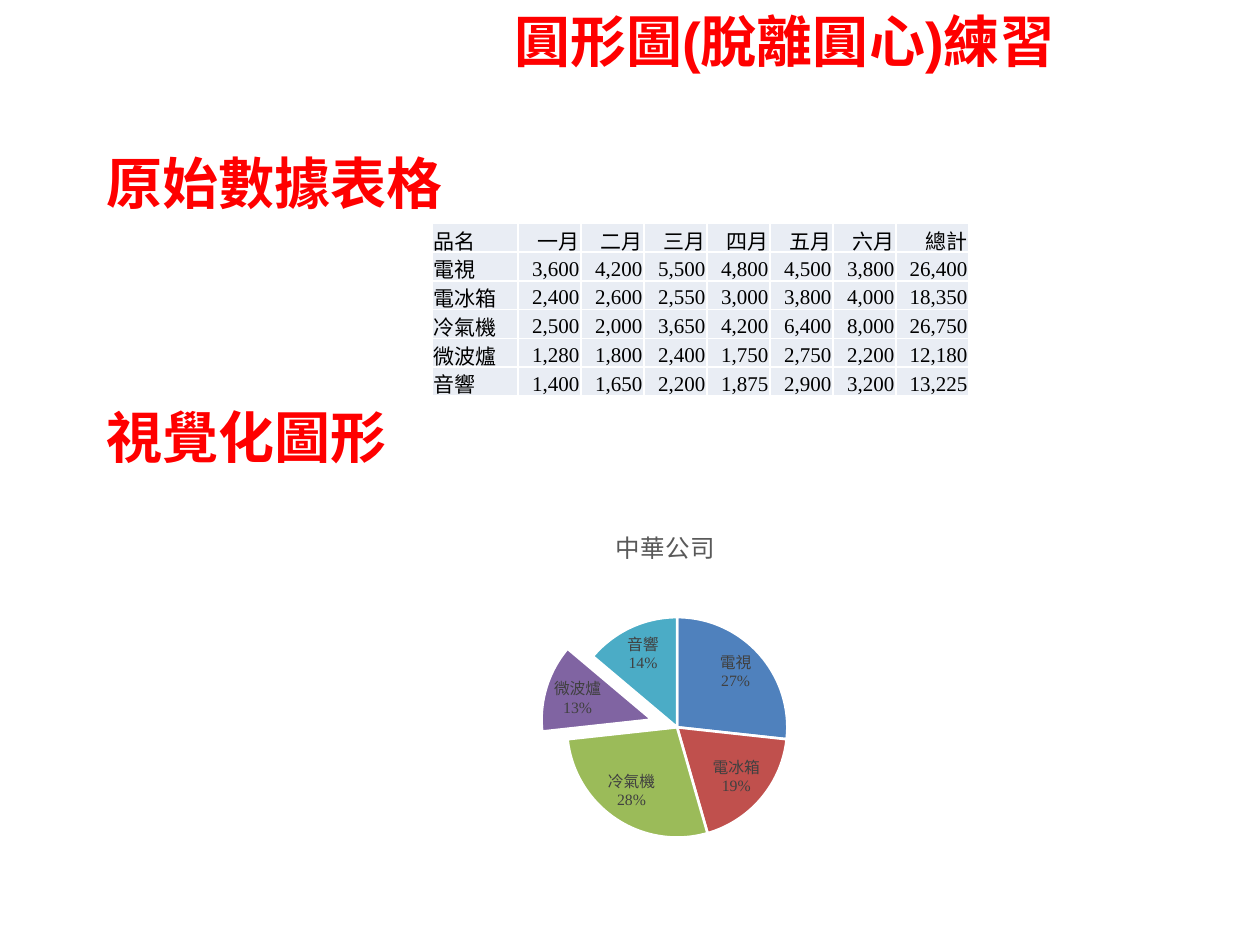
from lxml.etree import SubElement
from pptx import Presentation
from pptx.chart.data import CategoryChartData
from pptx.dml.color import RGBColor
from pptx.enum.chart import XL_CHART_TYPE, XL_LABEL_POSITION
from pptx.enum.text import MSO_ANCHOR, MSO_AUTO_SIZE, PP_ALIGN
from pptx.oxml import parse_xml
from pptx.oxml.ns import nsdecls, qn
from pptx.util import Cm, Pt

COLORS = {
    "heading": "FF0000", "ink": "000000", "cell": "E9EDF4", "border": "FFFFFF",
    "caption": "595959", "label": "404040",
    "電視": "4F81BD", "電冰箱": "C0504D", "冷氣機": "9BBB59",
    "微波爐": "8064A2", "音響": "4BACC6",
}
FONTS = {
    "heading": {"name": "Arial", "size": Pt(32), "bold": True},
    "ink": {"name": "Times New Roman", "size": Pt(12), "bold": False},
    "caption": {"name": "Times New Roman", "size": Pt(14), "bold": False},
    "label": {"name": "Times New Roman", "size": Pt(9), "bold": False},
}


def apply(target, values):
    for key, value in values.items():
        setattr(target, key, value)


class SalesSlide:
    """Build headings, a table and a pie chart in one style on one slide."""

    def __init__(self, slide):
        self.slide = slide

    def color(self, role):
        return RGBColor.from_string(COLORS[role])

    def style(self, font, role):
        apply(font, FONTS[role])
        font.color.rgb = self.color(role)

    def heading(self, words, left, top, width, holder=None):
        height = Cm(1.63)
        box = holder or self.slide.shapes.add_textbox(left, top, width, height)
        apply(box, {"left": left, "top": top, "width": width, "height": height})
        apply(box.text_frame, {
            "text": words, "word_wrap": True, "vertical_anchor": MSO_ANCHOR.TOP,
            "auto_size": MSO_AUTO_SIZE.SHAPE_TO_FIT_TEXT,
        })
        line = box.text_frame.paragraphs[0]
        line.alignment = PP_ALIGN.LEFT
        self.style(line.runs[0].font, "heading")

    def cell(self, cell, words, alignment):
        apply(cell, {
            "text": words, "vertical_anchor": MSO_ANCHOR.BOTTOM,
            "margin_left": Cm(0.03), "margin_right": Cm(0.03),
            "margin_top": Cm(0.03), "margin_bottom": 0,
        })
        line = cell.text_frame.paragraphs[0]
        line.alignment = alignment
        self.style(line.runs[0].font, "ink")
        properties = cell._tc.get_or_add_tcPr()
        for side in ("a:lnL", "a:lnR", "a:lnT", "a:lnB"):
            border = SubElement(properties, qn(side), w=str(Pt(1)))
            paint = SubElement(border, qn("a:solidFill"))
            SubElement(paint, qn("a:srgbClr"), val=COLORS["border"])
        cell.fill.solid()
        cell.fill.fore_color.rgb = self.color("cell")

    def table(self, rows, left, top, widths, row_height):
        table = self.slide.shapes.add_table(
            len(rows), len(widths), left, top, sum(widths), row_height * len(rows)).table
        apply(table, {"first_row": False, "horz_banding": False})
        for column, width in zip(table.columns, widths):
            column.width = width
        for r, row in enumerate(rows):
            table.rows[r].height = row_height
            for c, words in enumerate(row):
                self.cell(table.cell(r, c), words, PP_ALIGN.RIGHT if c else PP_ALIGN.LEFT)

    def place(self, part, index, **layout):
        for old in part.findall(qn("c:layout")):
            part.remove(old)
        modes = '<c:xMode val="edge"/><c:yMode val="edge"/>'
        if "w" in layout:
            modes = '<c:layoutTarget val="inner"/>' + modes
        lengths = "".join(f'<c:{key} val="{value}"/>' for key, value in layout.items())
        part.insert(index, parse_xml(
            f'<c:layout {nsdecls("c")}><c:manualLayout>{modes}{lengths}'
            '</c:manualLayout></c:layout>'))

    def pie(self, caption, shares, exploded, left, top, width, height):
        data = CategoryChartData()
        data.categories = list(shares)
        data.add_series("Series 1", list(shares.values()))
        chart = self.slide.shapes.add_chart(
            XL_CHART_TYPE.PIE, left, top, width, height, data).chart
        self.style(chart.font, "ink")
        chart.font.size = Pt(10)
        apply(chart, {"has_legend": False, "has_title": True})
        chart.chart_title.text_frame.text = caption
        self.style(chart.chart_title.text_frame.paragraphs[0].runs[0].font, "caption")
        self.place(chart.chart_title._element, 1, x=0.41, y=0.05)
        self.place(chart._chartSpace.chart.plotArea, 0, x=0.34, y=0.3, w=0.35, h=0.59)

        plot = chart.plots[0]
        apply(plot, {"vary_by_categories": True, "has_data_labels": True})
        apply(plot.data_labels, {
            "show_percentage": True, "show_category_name": True, "show_value": False,
            "number_format": "0%", "number_format_is_linked": False,
            "position": XL_LABEL_POSITION.BEST_FIT,
        })
        self.style(plot.data_labels.font, "label")
        series = plot.series[0]
        for index, product in enumerate(shares):
            wedge = series.points[index].format
            wedge.fill.solid()
            wedge.fill.fore_color.rgb = self.color(product)
            wedge.line.color.rgb = self.color("border")
            wedge.line.width = Pt(1.5)
        wedges = series._element.findall(qn("c:dPt"))
        wedges[list(shares).index(exploded)].find(qn("c:spPr")).addprevious(
            parse_xml(f'<c:explosion {nsdecls("c")} val="24"/>'))


deck = Presentation()
apply(deck, {"slide_width": Cm(25.4), "slide_height": Cm(19.05)})
sales = SalesSlide(deck.slides.add_slide(deck.slide_layouts[5]))

sales.heading("圓形圖(脫離圓心)練習", Cm(10.11), Cm(0), Cm(12.6), sales.slide.shapes.title)
for section, section_top in (("原始數據表格", 2.87), ("視覺化圖形", 7.98)):
    sales.heading(section, Cm(1.9), Cm(section_top), Cm(7.59))

monthly_sales = {
    "電視": (3600, 4200, 5500, 4800, 4500, 3800),
    "電冰箱": (2400, 2600, 2550, 3000, 3800, 4000),
    "冷氣機": (2500, 2000, 3650, 4200, 6400, 8000),
    "微波爐": (1280, 1800, 2400, 1750, 2750, 2200),
    "音響": (1400, 1650, 2200, 1875, 2900, 3200),
}
sales_rows = [["品名", *(f"{month}月" for month in "一二三四五六"), "總計"]]
for product, amounts in monthly_sales.items():
    sales_rows.append([product, *(f"{amount:,}" for amount in (*amounts, sum(amounts)))])
sales.table(sales_rows, Cm(8.71), Cm(4.5), [Cm(1.73), *[Cm(1.27)] * 6, Cm(1.47)], Cm(0.58))

sales.pie("中華公司", dict(zip(monthly_sales, (27, 19, 28, 13, 14))), "微波爐",
          Cm(7.11), Cm(10.13), Cm(12.7), Cm(7.62))
deck.save("out.pptx")
